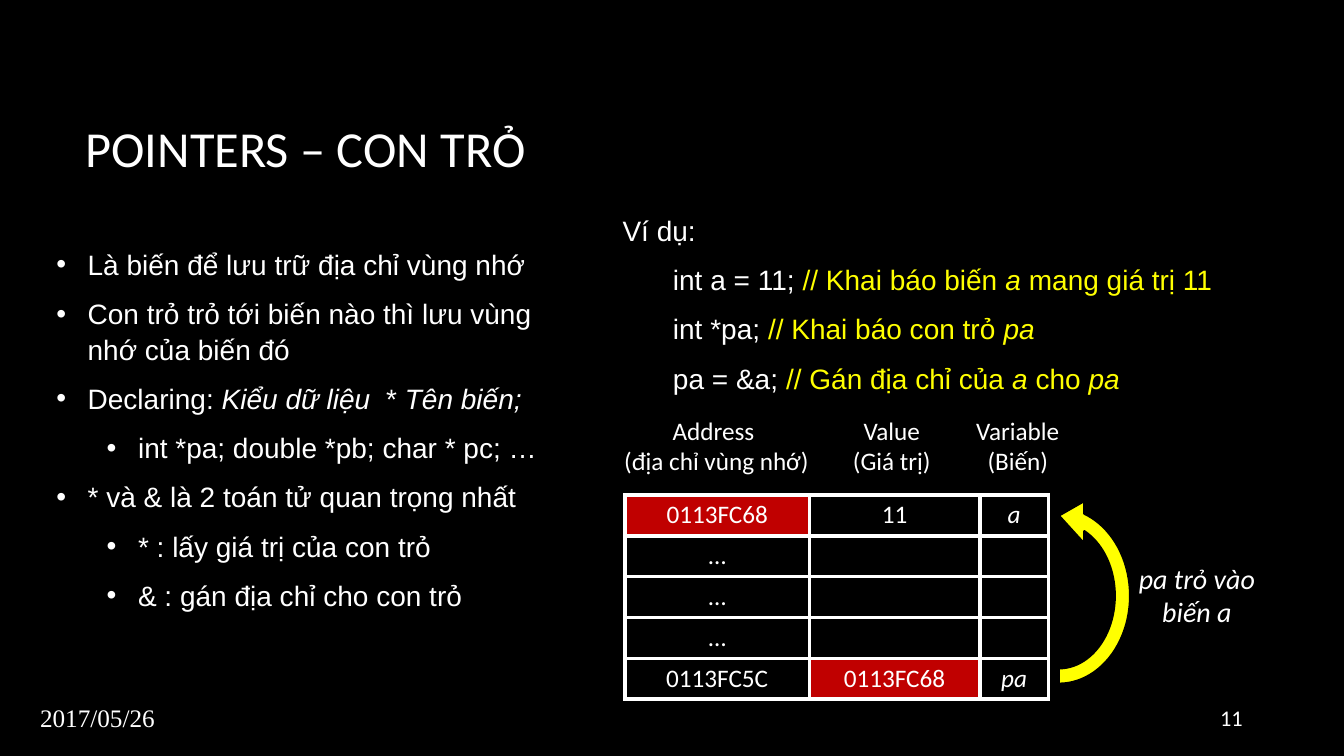
"""Build the slide that introduces pointers with a memory table."""
from dataclasses import dataclass

from lxml.etree import SubElement
from pptx import Presentation
from pptx.dml.color import RGBColor
from pptx.enum.shapes import MSO_SHAPE
from pptx.enum.text import MSO_ANCHOR, PP_ALIGN
from pptx.oxml.ns import qn
from pptx.slide import Slide
from pptx.table import _Cell
from pptx.text.text import _Paragraph
from pptx.util import Cm, Pt

WHITE = RGBColor(0xFF, 0xFF, 0xFF)
BLACK = RGBColor(0x00, 0x00, 0x00)
YELLOW = RGBColor(0xFF, 0xFF, 0x00)
RED = RGBColor(0xC0, 0x00, 0x00)

HEADING = {"name": "Calibri", "size": Pt(36)}
PROSE = {"name": "Arial", "size": Pt(20)}
MEMORY = {"name": "Calibri", "size": Pt(18)}
CAPTION = {"name": "Calibri", "size": Pt(20)}
DATE = {"name": "Times New Roman", "size": Pt(18)}
PAGE_NUMBER = {"name": "Calibri", "size": Pt(16)}

BULLET_HANG = 0.79
LEVEL_STEP = 1.27


@dataclass(frozen=True)
class Span:
    text: str
    italic: bool = False
    color: RGBColor = WHITE


@dataclass(frozen=True)
class Line:
    spans: tuple[Span, ...]
    level: int = 0
    bullet: bool = False


@dataclass(frozen=True)
class Block:
    box: tuple[float, float, float, float]
    lines: tuple[Line, ...]
    font: dict
    align: PP_ALIGN = PP_ALIGN.LEFT
    anchor: MSO_ANCHOR = MSO_ANCHOR.MIDDLE
    wrap: bool = True
    spaced: bool = False


@dataclass(frozen=True)
class Entry:
    text: str = ""
    italic: bool = False
    marked: bool = False


def plain(text: str, italic: bool = False) -> tuple[Line, ...]:
    return (Line((Span(text, italic),)),)


def point(*spans: Span, level: int = 0) -> Line:
    return Line(spans, level, True)


def code(statement: str, *comment: tuple[str, bool]) -> Line:
    remarks = tuple(Span(text, italic, YELLOW) for text, italic in comment)
    return Line((Span(statement), *remarks), 1)


def write_span(paragraph: _Paragraph, span: Span, font: dict) -> None:
    for number, piece in enumerate(span.text.split("\n")):
        if number:
            paragraph.add_line_break()
        run = paragraph.add_run()
        run.text = piece
        for name, value in {**font, "italic": span.italic}.items():
            setattr(run.font, name, value)
        run.font.color.rgb = span.color


def indent(paragraph: _Paragraph, line: Line) -> None:
    properties = paragraph._p.get_or_add_pPr()
    hang = BULLET_HANG if line.bullet else 0
    properties.set("marL", str(Cm(hang + line.level * LEVEL_STEP)))
    properties.set("indent", str(-Cm(hang)))
    if line.bullet:
        tint = SubElement(properties, qn("a:buClr"))
        SubElement(tint, qn("a:srgbClr"), val=str(WHITE))
        SubElement(properties, qn("a:buFont"), typeface="Arial")
        SubElement(properties, qn("a:buChar"), char="•")


def draw_block(slide: Slide, block: Block) -> None:
    frame = slide.shapes.add_textbox(*map(Cm, block.box)).text_frame
    frame.word_wrap = block.wrap
    frame.vertical_anchor = block.anchor
    for number, line in enumerate(block.lines):
        paragraph = frame.add_paragraph() if number else frame.paragraphs[0]
        paragraph.alignment = block.align
        if block.spaced:
            paragraph.line_spacing = 1.05
            paragraph.space_after = Pt(10)
        indent(paragraph, line)
        for span in line.spans:
            write_span(paragraph, span, block.font)


def draw_cell(cell: _Cell, entry: Entry) -> None:
    cell.vertical_anchor = MSO_ANCHOR.MIDDLE
    paragraph = cell.text_frame.paragraphs[0]
    paragraph.alignment = PP_ALIGN.CENTER
    if entry.text:
        write_span(paragraph, Span(entry.text, entry.italic), MEMORY)
    properties = cell._tc.get_or_add_tcPr()
    for side in ("lnL", "lnR", "lnT", "lnB"):
        border = SubElement(properties, qn(f"a:{side}"), w=str(Pt(3)))
        paint = SubElement(border, qn("a:solidFill"))
        SubElement(paint, qn("a:srgbClr"), val=str(WHITE))
    if entry.marked:
        cell.fill.solid()
        cell.fill.fore_color.rgb = RED
    else:
        cell.fill.background()


def draw_memory(slide: Slide, rows: list[tuple[Entry, ...]]) -> None:
    widths, height = (4.65, 4.29, 1.73), 1.02
    memory = slide.shapes.add_table(
        len(rows), len(widths), Cm(15.75), Cm(12.47), Cm(sum(widths)), Cm(height * len(rows))
    ).table
    memory.first_row = memory.horz_banding = False
    for column, width in zip(memory.columns, widths):
        column.width = Cm(width)
    for row, entries in zip(memory.rows, rows):
        row.height = Cm(height)
        for cell, entry in zip(row.cells, entries):
            draw_cell(cell, entry)


def draw_pointing_arrow(slide: Slide) -> None:
    arrow = slide.shapes.add_shape(
        MSO_SHAPE.CIRCULAR_ARROW, Cm(24.13), Cm(12.88), Cm(5.11), Cm(4.27)
    )
    arrow.shadow.inherit = False
    arrow.rotation = 270
    arrow.element.spPr.get_or_add_xfrm().set("flipV", "1")
    for number, value in enumerate((0.09, 11.42, 204.58, 108, 0.125)):
        arrow.adjustments[number] = value
    arrow.fill.solid()
    arrow.fill.fore_color.rgb = YELLOW
    arrow.line.color.rgb = BLACK
    arrow.line.width = Pt(1.5)


FACTS = (
    point(Span("Là biến để lưu trữ địa chỉ vùng nhớ")),
    point(Span("Con trỏ trỏ tới biến nào thì lưu vùng nhớ của biến đó")),
    point(Span("Declaring: "), Span("Kiểu dữ liệu ", True), Span(" * "), Span("Tên biến;", True)),
    point(Span("int *pa; double *pb; char * pc; …"), level=1),
    point(Span("* và & là 2 toán tử quan trọng nhất")),
    point(Span("* : lấy giá trị của con trỏ"), level=1),
    point(Span("& : gán địa chỉ cho con trỏ"), level=1),
)
EXAMPLE = plain("Ví dụ:") + (
    code("int a = 11; ", ("// Khai báo biến ", False), ("a ", True), ("mang giá trị 11", False)),
    code("int *pa; ", ("// Khai báo con trỏ ", False), ("pa", True)),
    code("pa = &a; ", ("// Gán địa chỉ của ", False), ("a ", True), ("cho ", False), ("pa", True)),
)
COLUMN_LABELS = (
    (15.44, 5.23, "Address \n(địa chỉ vùng nhớ)"),
    (21.23, 2.49, "Value\n(Giá trị)"),
    (24.33, 2.64, "Variable\n(Biến)"),
)
BLOCKS = [
    Block((1.91, 1.7, 28.14, 4.04), plain("POINTERS – CON TRỎ"), HEADING),
    Block((0.76, 17.55, 21.74, 1.04), plain("2017/05/26"), DATE),
    Block((30.05, 17.55, 1.52, 1.04), plain("11"), PAGE_NUMBER, PP_ALIGN.RIGHT),
    Block((1.17, 6.53, 12.95, 8.56), FACTS, PROSE, spaced=True),
    Block((15.44, 4.95, 16.13, 5.38), EXAMPLE, PROSE, spaced=True),
    Block((28.45, 14.02, 3.43, 1.96), plain("pa trỏ vào biến a", True), CAPTION,
          PP_ALIGN.CENTER, MSO_ANCHOR.TOP),
] + [
    Block((left, 10.34, width, 1.8), plain(label), MEMORY, PP_ALIGN.CENTER, MSO_ANCHOR.TOP, False)
    for left, width, label in COLUMN_LABELS
]
MEMORY_ROWS = [
    (Entry("0113FC68", marked=True), Entry("11"), Entry("a", True)),
    *[(Entry("…"), Entry(), Entry())] * 3,
    (Entry("0113FC5C"), Entry("0113FC68", marked=True), Entry("pa", True)),
]


def main() -> None:
    deck = Presentation()
    deck.slide_width, deck.slide_height = Cm(33.87), Cm(19.05)
    slide = deck.slides.add_slide(deck.slide_layouts[6])
    slide.background.fill.solid()
    slide.background.fill.fore_color.rgb = BLACK
    draw_memory(slide, MEMORY_ROWS)
    draw_pointing_arrow(slide)
    for block in BLOCKS:
        draw_block(slide, block)
    deck.save("out.pptx")


if __name__ == "__main__":
    main()
